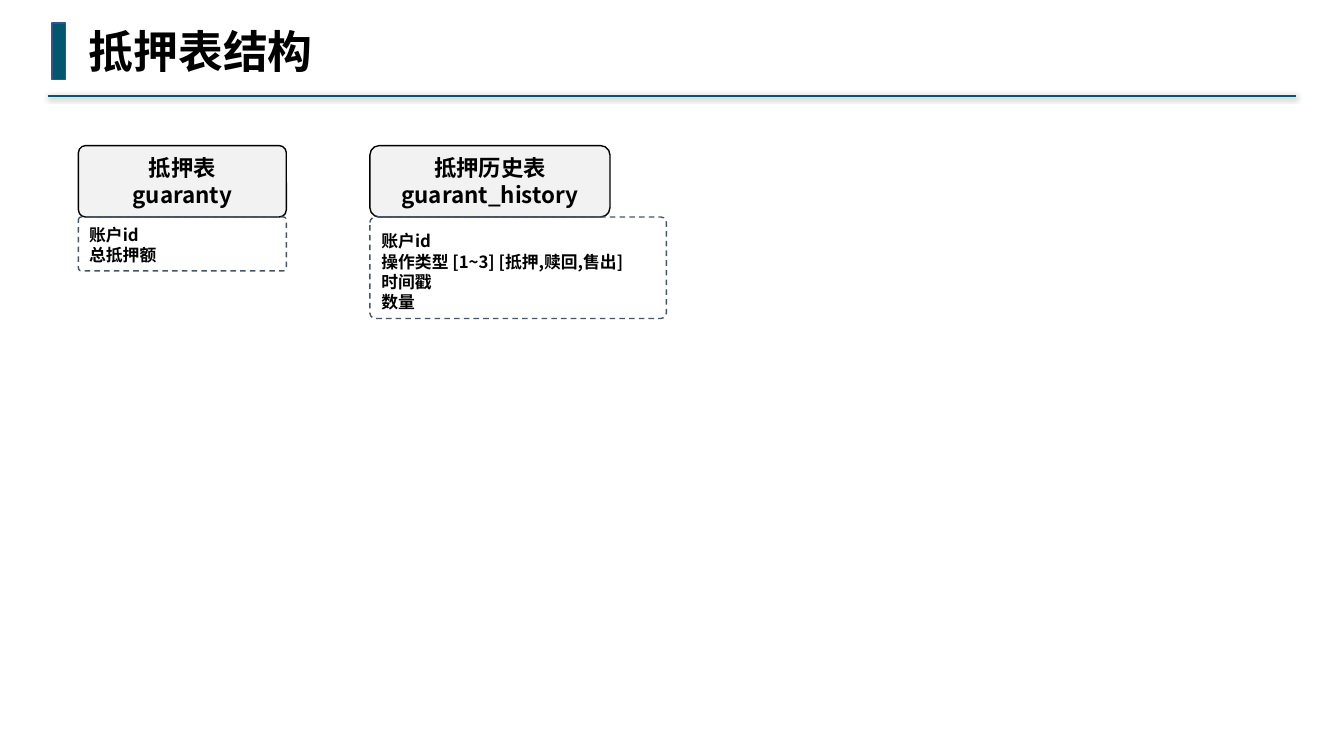
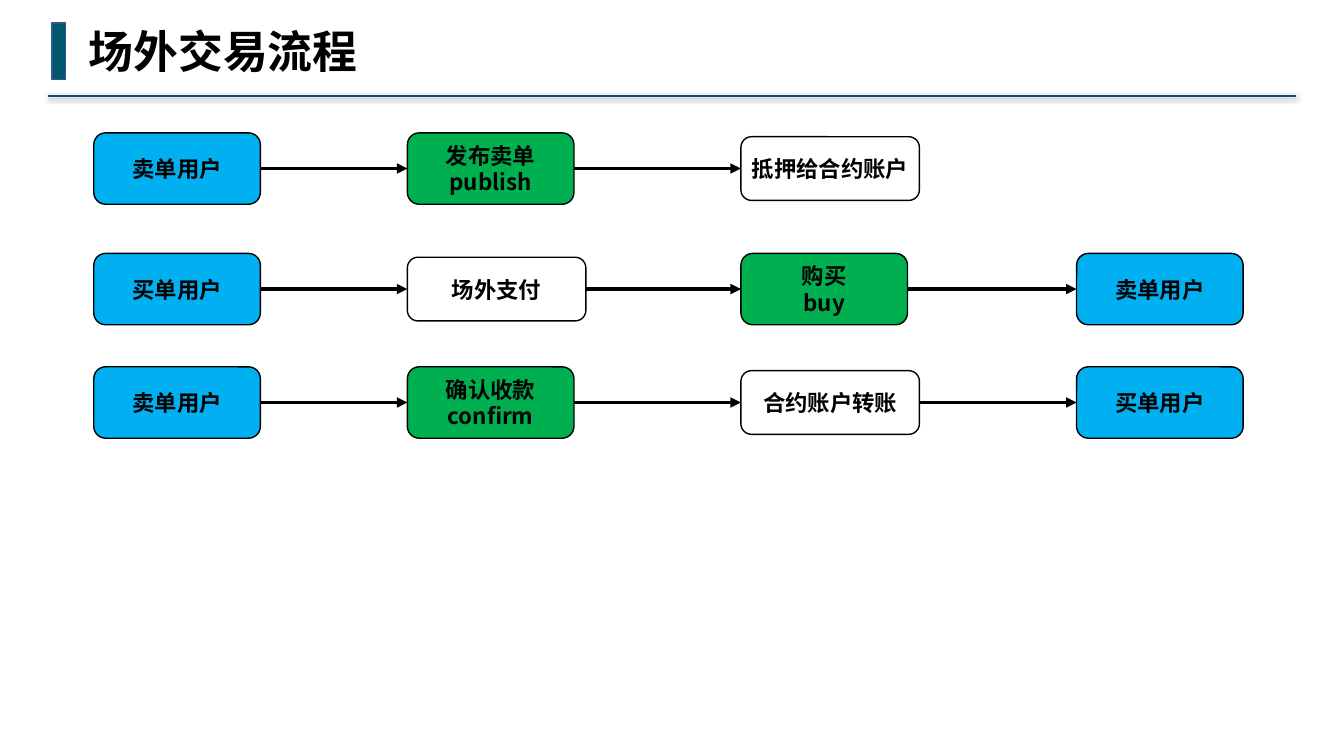
from itertools import pairwise

from lxml import etree
from pptx import Presentation
from pptx.dml.color import RGBColor
from pptx.enum.dml import MSO_LINE_DASH_STYLE as DASH
from pptx.enum.shapes import MSO_CONNECTOR as CONN, MSO_SHAPE as SHAPE
from pptx.enum.text import MSO_ANCHOR as ANCHOR, MSO_AUTO_SIZE as AUTO, PP_ALIGN as ALIGN
from pptx.oxml import parse_xml
from pptx.oxml.ns import nsdecls, qn
from pptx.util import Pt

TABLES_TITLE = "抵押表结构"
TABLES = [
    dict(left=56, head_w=148.5, body_w=148.5, body_h=38.5, radius=0.099,
         head=["抵押表", "guaranty"], fields=["账户id", "总抵押额"]),
    dict(left=264.25, head_w=171.5, body_w=211.75, body_h=72.5, radius=0.131,
         head=["抵押历史表", "guarant_history"],
         fields=["账户id", "操作类型 [1~3] [抵押,赎回,售出]", "时间戳", "数量"]),
]
HEAD_TOP, HEAD_H = 104, 51

FLOW_TITLE = "场外交易流程"
FLOWS = [
    (120.4, [("user", ["卖单用户"]), ("call", ["发布卖单", "publish"]),
             ("step", ["抵押给合约账户"])]),
    (206.5, [("user", ["买单用户"]), ("step", ["场外支付"]),
             ("call", ["购买", "buy"]), ("user", ["卖单用户"])]),
    (287.5, [("user", ["卖单用户"]), ("call", ["确认收款", "confirm"]),
             ("step", ["合约账户转账"]), ("user", ["买单用户"])]),
]
COLUMNS = [67, 291, 529.25, 769]
NODES = {
    "user": ("00B0F0", 119, 51),
    "call": ("00B050", 119, 51),
    "step": ("FFFFFF", 127.5, 45.5),
}

TEAL, BLACK = "00576E", "000000"
TITLE_FONT, TEXT_FONT = "DejaVu Sans Mono", "Noto Sans CJK SC"


def rgb(value):
    return RGBColor.from_string(value)


def write(tf, lines, size, font=TEXT_FONT, align=ALIGN.LEFT):
    for i, line in enumerate(lines):
        p = tf.paragraphs[0] if i == 0 else tf.add_paragraph()
        p.text = line
        p.alignment = align
        p.font.size = Pt(size)
        p.font.bold = True
        p.font.color.rgb = rgb(BLACK)
        p.font.name = font
        props = p._p.pPr.find(qn("a:defRPr"))
        etree.SubElement(props, qn("a:ea")).set("typeface", font)


def add_box(s, kind, left, top, width, height, fill, line):
    sp = s.shapes.add_shape(kind, Pt(left), Pt(top), Pt(width), Pt(height))
    sp.shadow.inherit = False
    if fill:
        sp.fill.solid()
        sp.fill.fore_color.rgb = rgb(fill)
    else:
        sp.fill.background()
    sp.line.color.rgb = rgb(line)
    sp.line.width = Pt(1)
    return sp


def add_label_box(s, left, top, width, height, fill, lines):
    sp = add_box(s, SHAPE.ROUNDED_RECTANGLE, left, top, width, height, fill, BLACK)
    tf = sp.text_frame
    tf.margin_left = tf.margin_top = tf.margin_right = tf.margin_bottom = Pt(2.8)
    tf.word_wrap = False
    tf.vertical_anchor = ANCHOR.MIDDLE
    write(tf, lines, 16, align=ALIGN.CENTER)
    return sp


def add_line(s, x1, y1, x2, y2, color, width):
    line = s.shapes.add_connector(CONN.STRAIGHT, Pt(x1), Pt(y1), Pt(x2), Pt(y2))
    line.line.color.rgb = rgb(color)
    line.line.width = Pt(width)
    effects = etree.SubElement(line._element.spPr, qn("a:effectLst"))
    return line, effects


def add_arrow(s, source, target):
    line, _ = add_line(s, 0, 0, 0, 0, BLACK, 2.5)
    line.begin_connect(source, 3)
    line.end_connect(target, 1)
    ln = line._element.spPr.find(qn("a:ln"))
    etree.SubElement(ln, qn("a:tailEnd")).set("type", "triangle")


def add_titled_slide(prs, title):
    s = prs.slides.add_slide(prs.slide_layouts[6])
    _, effects = add_line(s, 34, 68.4, 926, 68.4, TEAL, 1.5)
    effects.append(parse_xml(
        f'<a:outerShdw {nsdecls("a")} blurRad="{Pt(4)}" dist="{Pt(1)}" dir="5400000" '
        f'rotWithShape="0"><a:srgbClr val="{BLACK}"><a:alpha val="40000"/></a:srgbClr>'
        '</a:outerShdw>'))
    add_box(s, SHAPE.RECTANGLE, 37.25, 16.5, 9.5, 40.25, TEAL, "325491")
    width = 32 * len(title) + 16
    tf = s.shapes.add_textbox(Pt(56.25), Pt(13.5), Pt(width), Pt(46)).text_frame
    tf.word_wrap = False
    tf.auto_size = AUTO.SHAPE_TO_FIT_TEXT
    write(tf, [title], 32, TITLE_FONT)
    return s


def add_table_card(s, card):
    head = add_label_box(s, card["left"], HEAD_TOP, card["head_w"], HEAD_H,
                         "F2F2F2", card["head"])
    head.adjustments[0] = card["radius"]
    body = add_box(s, SHAPE.ROUNDED_RECTANGLE, card["left"], HEAD_TOP + HEAD_H,
                   card["body_w"], card["body_h"], None, "44546A")
    body.adjustments[0] = 0.055
    body.line.dash_style = DASH.DASH
    tf = body.text_frame
    tf.word_wrap = True
    tf.vertical_anchor = ANCHOR.BOTTOM
    write(tf, card["fields"], 12)


def add_flow(s, middle, steps):
    nodes = []
    for left, (kind, lines) in zip(COLUMNS, steps):
        fill, width, height = NODES[kind]
        nodes.append(add_label_box(s, left, middle - height / 2, width, height, fill, lines))
    for source, target in pairwise(nodes):
        add_arrow(s, source, target)


def main():
    prs = Presentation()
    prs.slide_width, prs.slide_height = Pt(960), Pt(540)
    s = add_titled_slide(prs, TABLES_TITLE)
    for card in TABLES:
        add_table_card(s, card)
    s = add_titled_slide(prs, FLOW_TITLE)
    for middle, steps in FLOWS:
        add_flow(s, middle, steps)
    prs.save("out.pptx")


if __name__ == "__main__":
    main()
